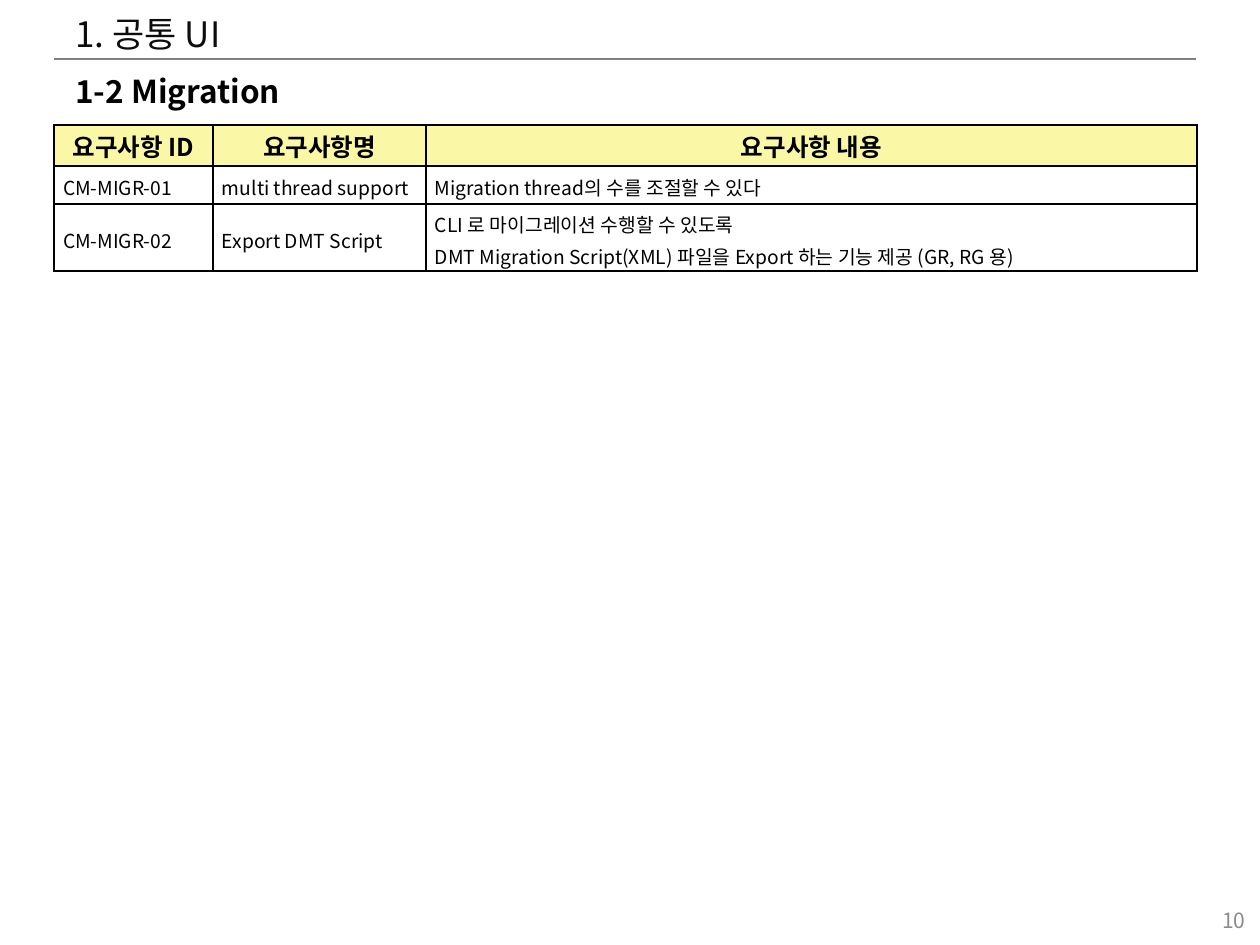
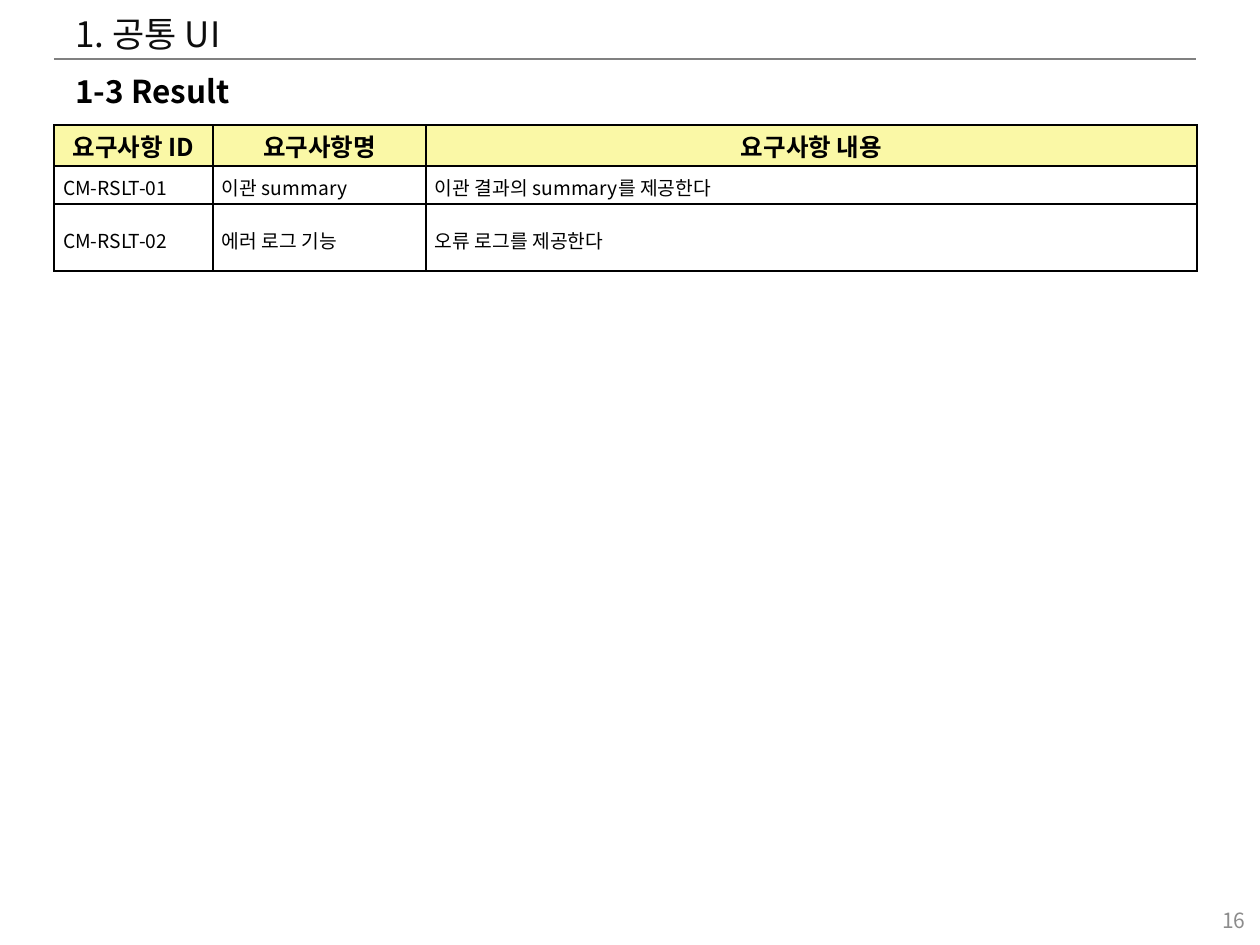
from copy import deepcopy

from lxml.etree import SubElement
from pptx import Presentation
from pptx.dml.color import RGBColor
from pptx.enum.shapes import MSO_CONNECTOR
from pptx.enum.text import MSO_ANCHOR, PP_ALIGN
from pptx.oxml.ns import qn
from pptx.util import Pt

PX = 914400 / 126
FONT = "Noto Sans CJK KR"
BLACK, WHITE, YELLOW = "000000", "FFFFFF", "FAF8A6"
GRAY, TITLE_COLOR, NUMBER_COLOR = "808080", "0D0D0D", "8C8C8C"

COLUMNS = [159, 213, 771]
ROWS = [41, 38, 67]
HEADER = ["요구사항 ID", "요구사항명", "요구사항 내용"]
SECTION = "1. 공통 UI"
PAGES = [
    ("1-2 Migration", 10, [
        ["CM-MIGR-01", "multi thread support", "Migration thread의 수를 조절할 수 있다"],
        ["CM-MIGR-02", "Export DMT Script",
         "CLI 로 마이그레이션 수행할 수 있도록\n"
         "DMT Migration Script(XML) 파일을 Export 하는 기능 제공 (GR, RG 용)"],
    ]),
    ("1-3 Result", 16, [
        ["CM-RSLT-01", "이관 summary", "이관 결과의 summary를 제공한다"],
        ["CM-RSLT-02", "에러 로그 기능", "오류 로그를 제공한다"],
    ]),
]


def px(*lengths):
    """Convert pixel lengths to a list of EMU."""
    return [round(n * PX) for n in lengths]


def rgb(color):
    return RGBColor.from_string(color)


def write(tf, text, size, color=BLACK, bold=False, align=PP_ALIGN.LEFT,
          before=0, after=0, spacing=1.0):
    p = tf.paragraphs[0]
    p.text = text
    p.alignment = align
    p.space_before, p.space_after = Pt(before), Pt(after)
    p.line_spacing = spacing
    for r in p.runs:
        r.font.name = FONT
        r.font.size = Pt(size)
        r.font.bold = bold
        r.font.color.rgb = rgb(color)
        SubElement(r.font._element, qn("a:ea"), typeface=FONT)
    # Line breaks take the run format so that they keep the line height.
    for br in p._p.findall(qn("a:br")):
        br.append(deepcopy(p.runs[0].font._element))


def add_text(s, text, box, size, anchor=MSO_ANCHOR.TOP, **style):
    tf = s.shapes.add_textbox(*px(*box)).text_frame
    tf.word_wrap = True
    tf.vertical_anchor = anchor
    write(tf, text, size, **style)


def add_rule(s, x1, x2, y):
    line = s.shapes.add_connector(MSO_CONNECTOR.STRAIGHT, *px(x1, y, x2, y))
    line.line.color.rgb = rgb(GRAY)
    line.line.width = Pt(1.25)
    SubElement(line._element.spPr, qn("a:effectLst"))


def format_cell(cell, fill, insets):
    cell.vertical_anchor = MSO_ANCHOR.MIDDLE
    (cell.margin_left, cell.margin_top,
     cell.margin_right, cell.margin_bottom) = px(*insets)
    tc_pr = cell._tc.get_or_add_tcPr()
    for side in ("a:lnL", "a:lnR", "a:lnT", "a:lnB"):
        ln = SubElement(tc_pr, qn(side), w=str(Pt(1)))
        SubElement(SubElement(ln, qn("a:solidFill")), qn("a:srgbClr"), val=BLACK)
    cell.fill.solid()
    cell.fill.fore_color.rgb = rgb(fill)


def add_requirements(s, requirements):
    table = s.shapes.add_table(
        len(ROWS), len(COLUMNS), *px(54, 125, sum(COLUMNS), sum(ROWS))).table
    for column, width in zip(table.columns, px(*COLUMNS)):
        column.width = width
    for row, height in zip(table.rows, px(*ROWS)):
        row.height = height
    for i, texts in enumerate([HEADER] + requirements):
        for j, text in enumerate(texts):
            cell = table.cell(i, j)
            if i == 0:
                format_cell(cell, YELLOW, (1, 1, 1, 0))
                write(cell.text_frame, text, 14, bold=True,
                      align=PP_ALIGN.CENTER, before=2.8)
            else:
                format_cell(cell, WHITE, (9, 0, 9, 0))
                write(cell.text_frame, text, 11, after=2, spacing=1.15)


def add_page(prs, heading, number, requirements):
    s = prs.slides.add_slide(prs.slide_layouts[6])
    add_rule(s, 54, 1196, 59)
    add_text(s, SECTION, (63, 6, 1134, 68), 20, color=TITLE_COLOR)
    add_text(s, str(number), (964, 895, 294, 50), 12, anchor=MSO_ANCHOR.MIDDLE,
             color=NUMBER_COLOR, align=PP_ALIGN.RIGHT)
    add_text(s, heading, (63, 66, 1134, 50), 18, bold=True)
    add_requirements(s, requirements)


def main():
    prs = Presentation()
    prs.slide_width, prs.slide_height = px(1260, 945)
    for page in PAGES:
        add_page(prs, *page)
    prs.save("out.pptx")


if __name__ == "__main__":
    main()
